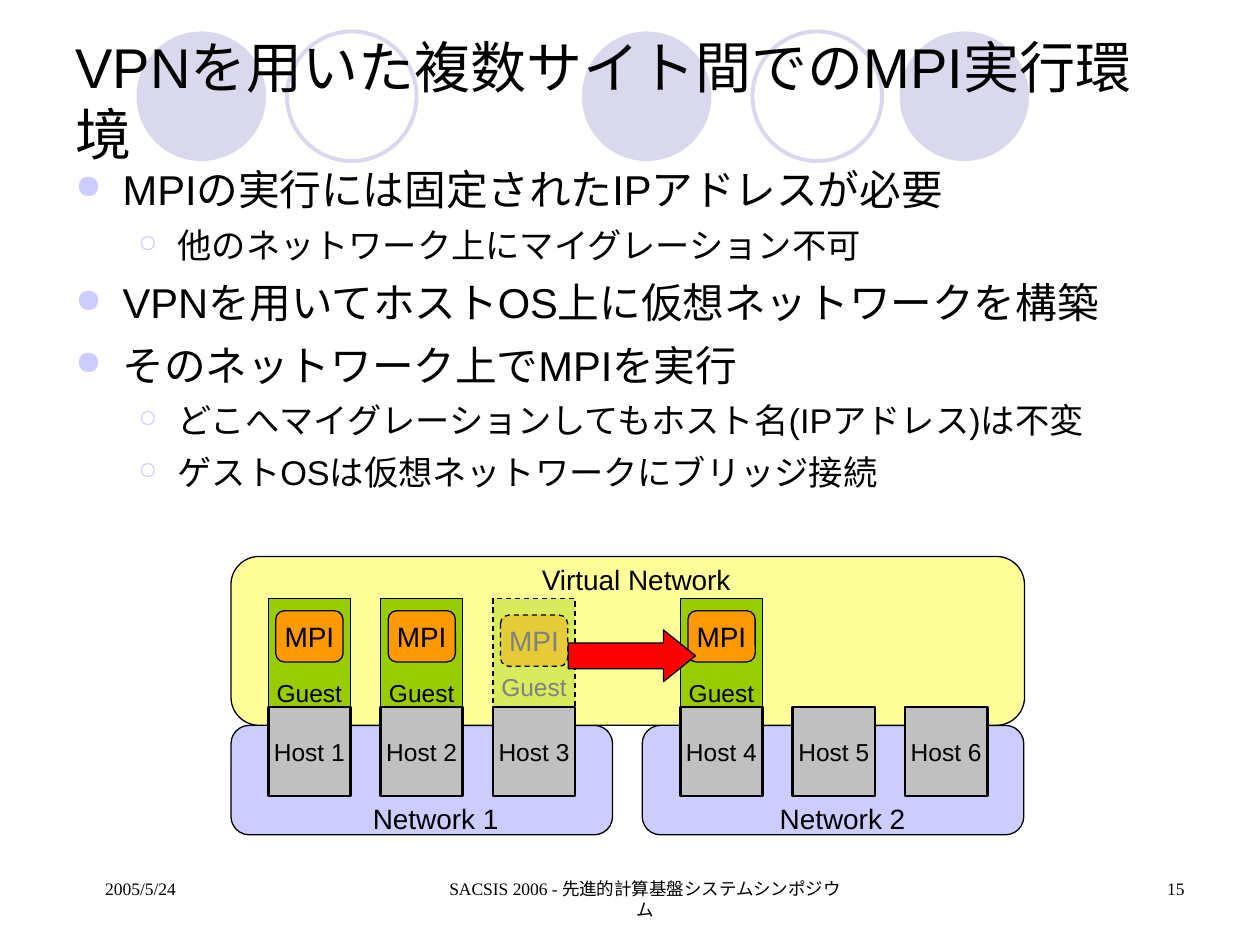
import lxml.etree
import pptx
import pptx.dml.color
import pptx.enum.dml
import pptx.enum.shapes
import pptx.enum.text
import pptx.oxml.ns
import pptx.util

Pt = pptx.util.Pt
RGB = pptx.dml.color.RGBColor
SHAPE = pptx.enum.shapes.MSO_SHAPE
ALIGN = pptx.enum.text.PP_ALIGN
ANCHOR = pptx.enum.text.MSO_ANCHOR
qn = pptx.oxml.ns.qn

BLACK = RGB(0x00, 0x00, 0x00)
GRAY = RGB(0x80, 0x80, 0x80)
SILVER = RGB(0xC0, 0xC0, 0xC0)
LAVENDER = RGB(0xD9, 0xD8, 0xEC)
PERIWINKLE = RGB(0xCC, 0xCC, 0xFF)
YELLOW = RGB(0xFF, 0xFF, 0x99)
GREEN = RGB(0x99, 0xCC, 0x00)
ORANGE = RGB(0xFF, 0x99, 0x00)
RED = RGB(0xFF, 0x00, 0x00)

BULLETS = [
    (0, "MPIの実行には固定されたIPアドレスが必要"),
    (1, "他のネットワーク上にマイグレーション不可"),
    (0, "VPNを用いてホストOS上に仮想ネットワークを構築"),
    (0, "そのネットワーク上でMPIを実行"),
    (1, "どこへマイグレーションしてもホスト名(IPアドレス)は不変"),
    (1, "ゲストOSは仮想ネットワークにブリッジ接続"),
]
LEVELS = [
    dict(size=23.8, before=7, left=27, hang=27, char="●", scale=80),
    dict(size=19.6, before=5.8, left=58.5, hang=22.5, char="○", scale=70),
]


class Deck:
    font = "Arial"
    footer_font = "Times New Roman"

    def __init__(self, prs):
        self.s = prs.slides.add_slide(prs.slide_layouts[5])

    def place(self, sp, box):
        sp.left, sp.top, sp.width, sp.height = (Pt(v) for v in box)

    def format(self, p, size, color=BLACK, font=None, align=ALIGN.LEFT):
        p.alignment = align
        for r in p.runs:
            r.font.size = Pt(size)
            r.font.name = font or self.font
            r.font.color.rgb = color

    def title(self, text, box, size):
        sp = self.s.shapes.title
        sp.element.getparent().append(sp.element)
        self.place(sp, box)
        tf = sp.text_frame
        tf.text = text
        tf.word_wrap = True
        tf.vertical_anchor = ANCHOR.MIDDLE
        self.format(tf.paragraphs[0], size)

    def text(self, text, box, size, align=ALIGN.LEFT, font=None, wrap=False, left=0):
        sp = self.s.shapes.add_textbox(*(Pt(v) for v in box))
        tf = sp.text_frame
        tf.text = text
        tf.word_wrap = wrap
        p = tf.paragraphs[0]
        self.format(p, size, font=font, align=align)
        if left:
            p._p.get_or_add_pPr().set("marL", str(Pt(left)))

    def bullets(self, items, box):
        sp = self.s.shapes.add_textbox(*(Pt(v) for v in box))
        tf = sp.text_frame
        tf.word_wrap = True
        tf.text = "\n".join(text for _, text in items)
        for p, (level, _) in zip(tf.paragraphs, items):
            style = LEVELS[level]
            p.level = level
            p.space_before = Pt(style["before"])
            self.format(p, style["size"])
            pPr = p._p.get_or_add_pPr()
            pPr.set("marL", str(Pt(style["left"])))
            pPr.set("indent", str(-Pt(style["hang"])))
            color = lxml.etree.SubElement(pPr, qn("a:buClr"))
            lxml.etree.SubElement(color, qn("a:srgbClr"), val=str(PERIWINKLE))
            lxml.etree.SubElement(pPr, qn("a:buSzPct"), val=str(style["scale"] * 1000))
            lxml.etree.SubElement(pPr, qn("a:buChar"), char=style["char"])

    def shape(self, kind, box, fill=None, line=BLACK, width=0.75, ghost=False):
        sp = self.s.shapes.add_shape(kind, *(Pt(v) for v in box))
        sp.shadow.inherit = False
        if fill is None:
            sp.fill.background()
        else:
            sp.fill.solid()
            sp.fill.fore_color.rgb = fill
        if line is None:
            sp.line.fill.background()
        else:
            sp.line.color.rgb = line
            sp.line.width = Pt(width)
        if ghost:
            sp.line.dash_style = pptx.enum.dml.MSO_LINE.DASH
            color = sp.element.spPr.find(qn("a:solidFill"))[0]
            lxml.etree.SubElement(color, qn("a:alpha"), val="39000")
        return sp

    def label(self, sp, text, size, color=BLACK, anchor=ANCHOR.MIDDLE, bottom=3.6):
        tf = sp.text_frame
        tf.text = text
        tf.word_wrap = False
        tf.vertical_anchor = anchor
        tf.margin_bottom = Pt(bottom)
        self.format(tf.paragraphs[0], size, color, align=ALIGN.CENTER)

    def guest(self, x, ghost=False):
        color = GRAY if ghost else BLACK
        sp = self.shape(SHAPE.RECTANGLE, (x, 342, 47, 62), GREEN, ghost=ghost)
        self.label(sp, "Guest", 14, color, ANCHOR.BOTTOM, 3 if ghost else 0)
        top = 351.5 if ghost else 349
        sp = self.shape(SHAPE.ROUNDED_RECTANGLE, (x + 4.3, top, 38.4, 29.3), ORANGE, ghost=ghost)
        self.label(sp, "MPI", 16, color)

    def host(self, x, number):
        sp = self.shape(SHAPE.RECTANGLE, (x, 404, 47, 51), SILVER, width=1.5)
        self.label(sp, f"Host {number}", 14)


def main():
    prs = pptx.Presentation()
    prs.slide_width, prs.slide_height = Pt(720), Pt(540)
    d = Deck(prs)

    for x in (332.5, 514, 78):
        d.shape(SHAPE.OVAL, (x, 18, 74, 74), LAVENDER, None)
    for x in (430, 164):
        d.shape(SHAPE.OVAL, (x, 18, 74, 74), None, LAVENDER, 2.25)
    d.title("VPNを用いた複数サイト間でのMPI実行環境", (36, 18, 648, 78), 32)
    d.bullets(BULLETS, (36, 90, 648, 197))

    networks = [(132, 206), (367, 438.5)]
    for number, (x, label_x) in enumerate(networks, 1):
        d.shape(SHAPE.ROUNDED_RECTANGLE, (x, 414.5, 218, 62.5), PERIWINKLE)
        d.text(f"Network {number}", (label_x, 454.3, 86, 26.6), 16, ALIGN.CENTER)
    d.shape(SHAPE.ROUNDED_RECTANGLE, (132, 318, 453.5, 96.5), YELLOW)
    d.text("Virtual Network", (302.4, 318.2, 122.4, 26.6), 16, ALIGN.CENTER)

    host_xs = [site + 64.2 * i for site in (153.3, 388.8) for i in range(3)]
    for i in (0, 1, 3, 2):
        d.guest(host_xs[i], ghost=i == 2)
    arrow = d.shape(SHAPE.RIGHT_ARROW, (324.7, 360, 72.7, 29.5), RED)
    arrow.adjustments[1] = 0.62
    for number, x in enumerate(host_xs, 1):
        d.host(x, number)

    footers = [
        ("SACSIS 2006 - 先進的計算基盤システムシンポジウム", 228, 264, ALIGN.CENTER),
        ("15", 516, 168, ALIGN.RIGHT),
        ("2005/5/24", 36, 168, ALIGN.LEFT),
    ]
    for text, x, width, align in footers:
        d.text(text, (x, 498, width, 36), 10, align, d.footer_font, True, 17)

    prs.save("out.pptx")


if __name__ == "__main__":
    main()
